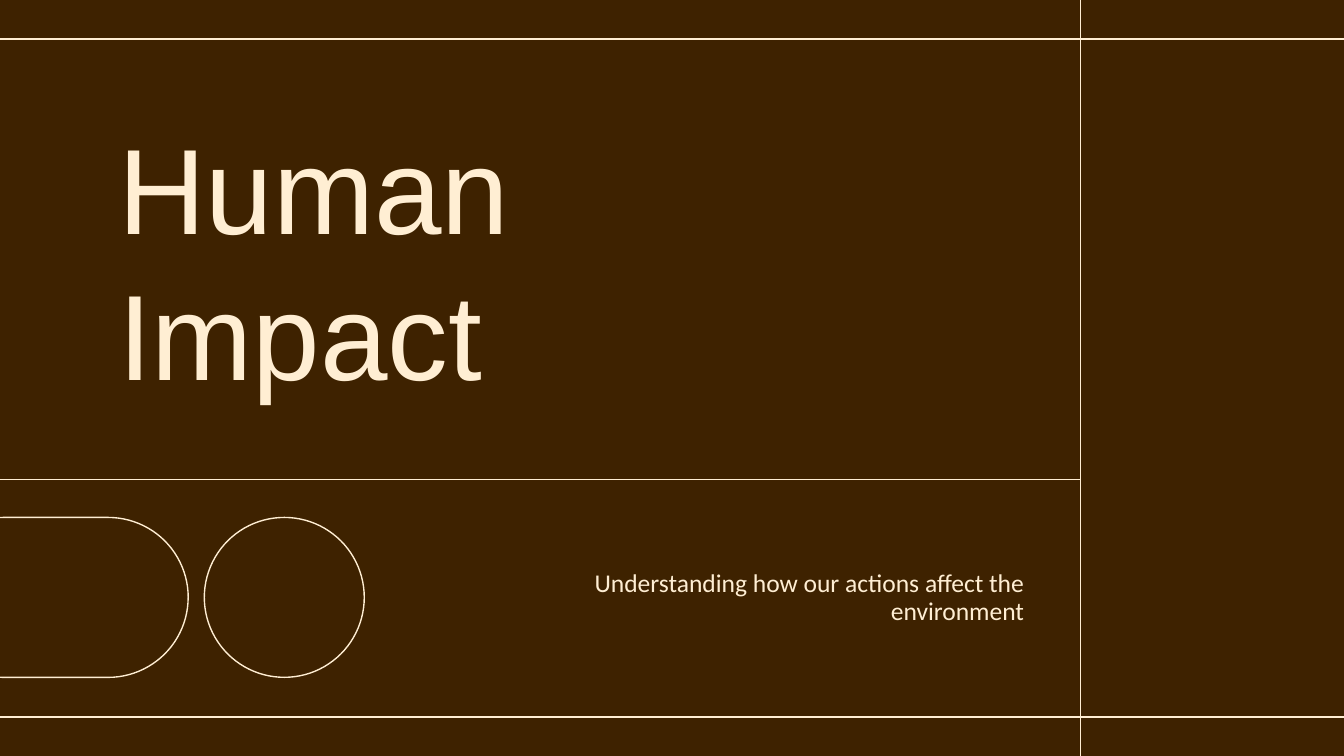
from pptx import Presentation
from pptx import util as u
from pptx.dml.color import RGBColor
from pptx.enum import shapes, text
from lxml import etree

HUES = {"ground": "3E2200", "cream": "FFEED3"}
WIDE = 10
HIGH = WIDE * 9 / 16
EDGE = 0.29          # distance of the rules from top and bottom
SPLIT = 8.04         # column rule
SHELF = 3.57         # row rule above the footer band
NS = "http://schemas.openxmlformats.org/drawingml/2006/main"


def hue(name):
    return RGBColor.from_string(HUES[name])


def write(shape, words, box, size, font, align, gap):
    """Place a placeholder in its box and fill it with formatted text."""
    shape.left, shape.top, shape.width, shape.height = map(u.Inches, box)
    frame = shape.text_frame
    frame.word_wrap = True
    frame.auto_size = text.MSO_AUTO_SIZE.NONE
    frame.vertical_anchor = text.MSO_ANCHOR.MIDDLE
    frame.margin_left = frame.margin_right = u.Inches(0.1)
    frame.margin_top = frame.margin_bottom = u.Inches(0.1)
    para = frame.paragraphs[0]
    para.alignment, para.line_spacing = align, gap
    para.space_before = u.Pt(0)
    run = para.add_run()
    run.text = words
    run.font.size, run.font.name = u.Pt(size), font
    run.font.color.rgb = hue("cream")


def stroke(shape):
    shape.line.color.rgb = hue("cream")
    shape.line.width = u.Pt(0.75)


def rule(slide, *ends):
    line = slide.shapes.add_connector(
        shapes.MSO_CONNECTOR.STRAIGHT, *map(u.Inches, ends))
    stroke(line)
    etree.SubElement(line._element.spPr, f"{{{NS}}}effectLst")


def outline(slide, kind, box):
    shape = slide.shapes.add_shape(kind, *map(u.Inches, box))
    shape.shadow.inherit = False
    shape.fill.background()
    stroke(shape)
    return shape


def frame_rules(slide):
    for y in (EDGE, HIGH - EDGE):
        rule(slide, 0, y, WIDE, y)
    rule(slide, -0.02, SHELF, SPLIT, SHELF)
    rule(slide, SPLIT, 0, SPLIT, HIGH)


def badges(slide, left, top, size, length, gap):
    """Draw a pill lying on its side, then a circle of the same height."""
    shift = (length - size) / 2
    pill = outline(slide, shapes.MSO_SHAPE.ROUNDED_RECTANGLE,
                   (left + shift, top - shift, size, length))
    pill.adjustments[0] = 0.5
    pill.rotation = 90
    outline(slide, shapes.MSO_SHAPE.OVAL,
            (left + length + gap, top, size, size))


def cover(slide):
    back = slide.background.fill
    back.solid()
    back.fore_color.rgb = hue("ground")
    frame_rules(slide)
    title, sub = slide.placeholders
    write(title, "Human Impact", (0.78, 0.56, 5.8, 2.73),
          size=65, font="Arial", align=text.PP_ALIGN.LEFT, gap=1.0)
    write(sub, "Understanding how our actions affect the environment",
          (3.68, 4.15, 4.04, 0.6),
          size=13.7, font="Calibri", align=text.PP_ALIGN.RIGHT, gap=0.9)
    badges(slide, left=-0.57, top=3.85, size=1.19, length=1.97, gap=0.12)


def main():
    deck = Presentation()
    deck.slide_width, deck.slide_height = u.Inches(WIDE), u.Inches(HIGH)
    cover(deck.slides.add_slide(deck.slide_layouts[0]))
    deck.save("out.pptx")


if __name__ == "__main__":
    main()
